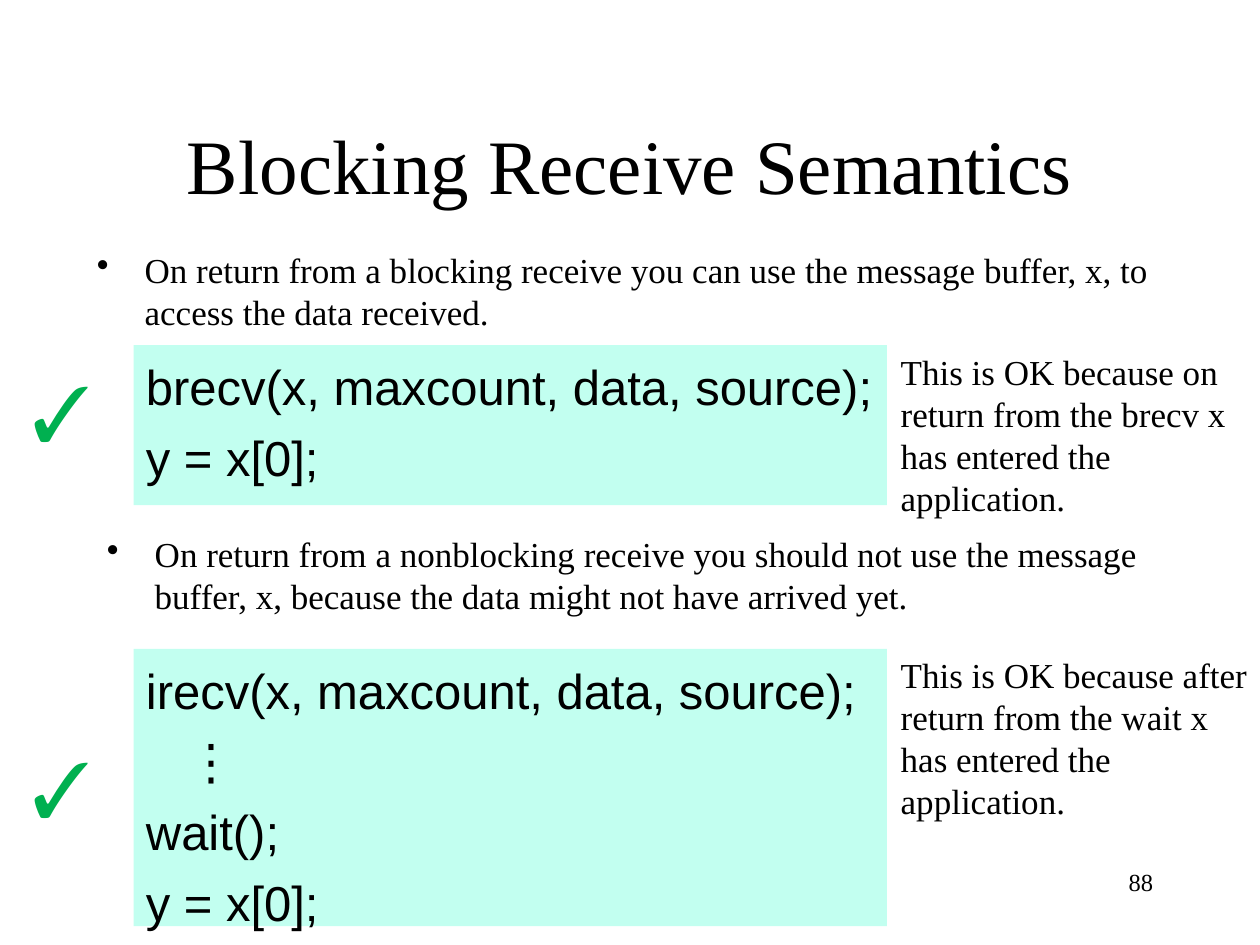
from dataclasses import dataclass

from lxml import etree
from pptx import Presentation
from pptx.dml.color import RGBColor
from pptx.enum.shapes import MSO_SHAPE
from pptx.enum.text import MSO_ANCHOR, PP_ALIGN
from pptx.oxml.ns import qn
from pptx.util import Inches, Pt

LEFT, CENTER, RIGHT = PP_ALIGN.LEFT, PP_ALIGN.CENTER, PP_ALIGN.RIGHT
TOP, MIDDLE = MSO_ANCHOR.TOP, MSO_ANCHOR.MIDDLE
RECTANGLE = MSO_SHAPE.RECTANGLE

SLIDE_WIDTH, SLIDE_HEIGHT = Inches(10), Inches(7.5)
COLUMNS, ROWS = 100, 75
BLACK, GREEN, MINT = "000000", "00B050", "C2FFF0"
SERIF, SANS = "Times New Roman", "Arial"
CODE_LEFT, CODE_WIDTH = 10.6, 59.8
NOTE_LEFT = 70.5
CODE_GAP = Pt(6.8)
BULLET_INDENT = Inches(0.38)


@dataclass(frozen=True)
class Area:
    column: float
    row: float
    columns: float
    rows: float

    def lengths(self) -> tuple[int, int, int, int]:
        return (
            int(SLIDE_WIDTH * self.column / COLUMNS),
            int(SLIDE_HEIGHT * self.row / ROWS),
            int(SLIDE_WIDTH * self.columns / COLUMNS),
            int(SLIDE_HEIGHT * self.rows / ROWS),
        )


@dataclass(frozen=True)
class Style:
    size: float
    font: str = SERIF
    color: str = BLACK
    align: PP_ALIGN = LEFT
    anchor: MSO_ANCHOR = TOP
    bullet: bool = False


@dataclass(frozen=True)
class Example:
    statement: str
    statement_area: Area
    code: tuple[str, ...]
    code_row: float
    code_rows: float
    note: str
    note_row: float
    note_columns: float
    check_row: float


TITLE = Style(44, align=CENTER, anchor=MIDDLE)
STATEMENT = Style(20, bullet=True)
NOTE = Style(20)
CODE = Style(28, SANS)
CHECK = Style(44, color=GREEN)
NUMBER = Style(14, align=RIGHT)

EXAMPLES = (
    Example(
        "On return from a blocking receive you can use the message buffer, x, "
        "to access the data received.",
        Area(6.7, 19.2, 90.6, 7.7),
        ("brecv(x, maxcount, data, source);", "y = x[0];"),
        27.4, 12.7,
        "This is OK because on return from the brecv x has entered the application.",
        27.3, 31.1, 28.4,
    ),
    Example(
        "On return from a nonblocking receive you should not use the message "
        "buffer, x, because the data might not have arrived yet.",
        Area(7.5, 41.8, 90.6, 7.7),
        ("irecv(x, maxcount, data, source);", "   ⋮", "wait();", "y = x[0];"),
        51.5, 22,
        "This is OK because after return from the wait x has entered the application.",
        51.4, 29.5, 58.3,
    ),
)


def rgb(value: str) -> RGBColor:
    return RGBColor.from_string(value)


def add_bullet(para) -> None:
    properties = para._p.get_or_add_pPr()
    properties.set("marL", str(BULLET_INDENT))
    properties.set("indent", str(-BULLET_INDENT))
    etree.SubElement(properties, qn("a:buChar")).set("char", "•")


def write(box, lines: tuple[str, ...], style: Style) -> None:
    frame = box.text_frame
    frame.word_wrap = True
    frame.vertical_anchor = style.anchor
    for index, line in enumerate(lines):
        para = frame.add_paragraph() if index else frame.paragraphs[0]
        para.text = line
        para.alignment = style.align
        if index:
            para.space_before = CODE_GAP
        if style.bullet:
            add_bullet(para)
        para.font.size = Pt(style.size)
        para.font.name = style.font
        para.font.color.rgb = rgb(style.color)


def add_text(slide, area: Area, text: str, style: Style) -> None:
    write(slide.shapes.add_textbox(*area.lengths()), (text,), style)


def add_code(slide, area: Area, lines: tuple[str, ...]) -> None:
    box = slide.shapes.add_shape(RECTANGLE, *area.lengths())
    box.shadow.inherit = False
    box.fill.solid()
    box.fill.fore_color.rgb = rgb(MINT)
    box.line.fill.background()
    box.text_frame.margin_top = Inches(0.09)
    write(box, lines, CODE)


def add_example(slide, example: Example) -> None:
    add_text(slide, example.statement_area, example.statement, STATEMENT)
    code_area = Area(CODE_LEFT, example.code_row, CODE_WIDTH, example.code_rows)
    add_code(slide, code_area, example.code)
    note_area = Area(NOTE_LEFT, example.note_row, example.note_columns, 14.5)
    add_text(slide, note_area, example.note, NOTE)
    add_text(slide, Area(1.6, example.check_row, 9.1, 8.4), "✓", CHECK)


def main() -> None:
    deck = Presentation()
    deck.slide_width, deck.slide_height = SLIDE_WIDTH, SLIDE_HEIGHT
    slide = deck.slides.add_slide(deck.slide_layouts[6])
    add_text(slide, Area(7.5, 6.7, 85, 12.5), "Blocking Receive Semantics", TITLE)
    for example in EXAMPLES:
        add_example(slide, example)
    add_text(slide, Area(71.7, 68.3, 20.8, 5), "88", NUMBER)
    deck.save("out.pptx")


if __name__ == "__main__":
    main()
